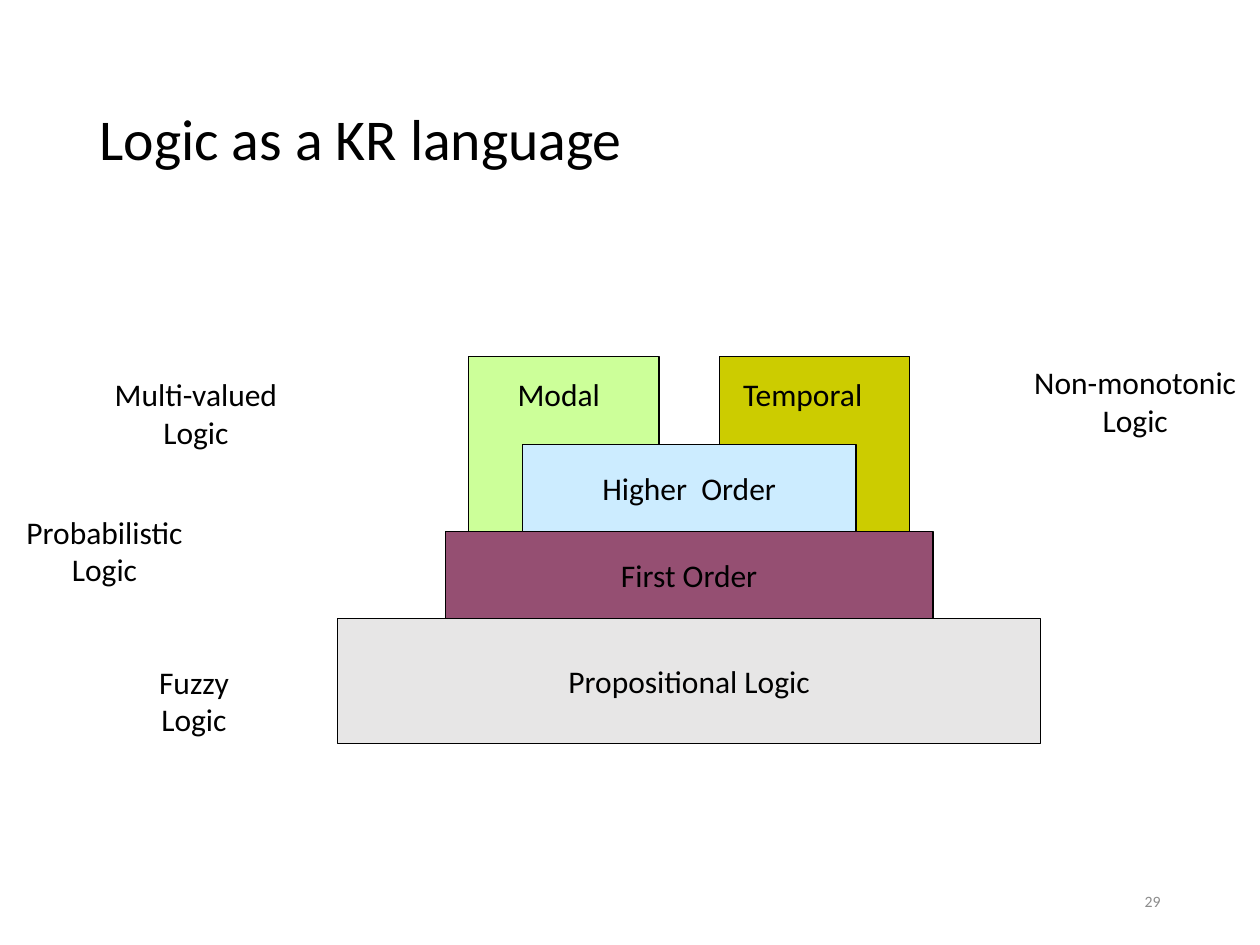
from pptx import Presentation
from pptx.dml.color import RGBColor
from pptx.enum.shapes import MSO_SHAPE
from pptx.enum.text import MSO_ANCHOR, MSO_AUTO_SIZE, PP_ALIGN
from pptx.util import Inches, Pt

RECT = MSO_SHAPE.RECTANGLE
TOP, MIDDLE = MSO_ANCHOR.TOP, MSO_ANCHOR.MIDDLE
GROW = MSO_AUTO_SIZE.SHAPE_TO_FIT_TEXT
LEFT, CENTER, RIGHT = PP_ALIGN.LEFT, PP_ALIGN.CENTER, PP_ALIGN.RIGHT
FONT, BLACK, GREY = "Calibri", "000000", "8C8C8C"

TOWER_W, TOWER_H, TOWER_GAP = 1.51, 1.39, 0.48
LAYERS = [
    ("Propositional Logic", 5.58, 0.99, "E7E6E6"),
    ("First Order", 3.87, 0.69, "954F72"),
    ("Higher  Order", 2.65, 0.69, "CCECFF"),
]
TOWER_LABELS = [("Modal", 1.33, 0.1, 0.86), ("Temporal", 3.12, 0.1, 1.17)]
SIDE_LOGICS = [
    ("Fuzzy", 1.06, 2.38, 0.76),
    ("Multi-valued", 0.7, 0.1, 1.51),
    ("Probabilistic", 0, 1.19, 1.46),
    ("Non-monotonic", 8, 0, 1.82),
]


def rgb(value):
    """Return the colour for a hex string."""
    return RGBColor.from_string(value)


def write(sp, lines, size=18, color=BLACK, align=CENTER, anchor=MIDDLE, wrap=False, spacing=None):
    """Fill a shape with one paragraph per line."""
    tf = sp.text_frame
    for name, value in {"word_wrap": wrap, "vertical_anchor": anchor}.items():
        setattr(tf, name, value)
    for i, line in enumerate(lines):
        p = tf.add_paragraph() if i else tf.paragraphs[0]
        p.alignment = align
        if spacing:
            p.line_spacing = spacing
        r = p.add_run()
        r.text = line
        for name, value in {"name": FONT, "size": Pt(size)}.items():
            setattr(r.font, name, value)
        r.font.color.rgb = rgb(color)


def add_text(shapes, box, lines, **style):
    """Add a text box with the given text style."""
    sp = shapes.add_textbox(*map(Inches, box))
    write(sp, lines, **style)
    return sp


def add_block(shapes, box, fill):
    """Add an outlined, filled rectangle."""
    sp = shapes.add_shape(RECT, *map(Inches, box))
    sp.shadow.inherit = False
    sp.fill.solid()
    sp.fill.fore_color.rgb = rgb(fill)
    sp.line.color.rgb = rgb(BLACK)
    sp.line.width = Pt(0.75)
    return sp


def add_label(shapes, box, lines, align=CENTER):
    """Add a label that grows with its text."""
    sp = add_text(shapes, box, lines, align=align, anchor=TOP)
    sp.text_frame.auto_size = GROW


def add_logic_stack(shapes, box):
    """Stack the logic layers upward over the two towers."""
    x, y, w, h = box
    mid = x + w / 2
    add_block(shapes, (mid + TOWER_GAP / 2, y, TOWER_W, TOWER_H), "CCCC00")
    add_block(shapes, (mid - TOWER_GAP / 2 - TOWER_W, y, TOWER_W, TOWER_H), "CCFF99")
    bottom = y + h
    for text, width, height, fill in LAYERS:
        bottom -= height
        sp = add_block(shapes, (mid - width / 2, bottom, width, height), fill)
        write(sp, [text])
    for text, dx, dy, width in TOWER_LABELS:
        add_label(shapes, (x + dx, y + dy, width, 0.4), [text], LEFT)


def add_side_logics(shapes, box):
    """Place the other logics around the stack."""
    x, y = box[:2]
    for text, dx, dy, width in SIDE_LOGICS:
        add_label(shapes, (x + dx, y + dy, width, 0.7), [text, "Logic"])


def build():
    """Build and save the slide."""
    prs = Presentation()
    prs.slide_width, prs.slide_height = Inches(10), Inches(7.5)
    s = prs.slides.add_slide(prs.slide_layouts[6])
    add_text(s.shapes, (0.69, 0.4, 8.62, 1.45), ["Logic as a KR language"],
             size=33, align=LEFT, wrap=True, spacing=0.9)
    add_text(s.shapes, (7.06, 6.95, 2.25, 0.4), ["29"],
             size=9, color=GREY, align=RIGHT, wrap=True)
    diagram = s.shapes.add_group_shape().shapes
    add_logic_stack(diagram, (2.68, 2.83, 5.58, 3.07))
    add_side_logics(diagram, (0.1, 2.83, 9.82, 3.09))
    prs.save("out.pptx")


if __name__ == "__main__":
    build()
